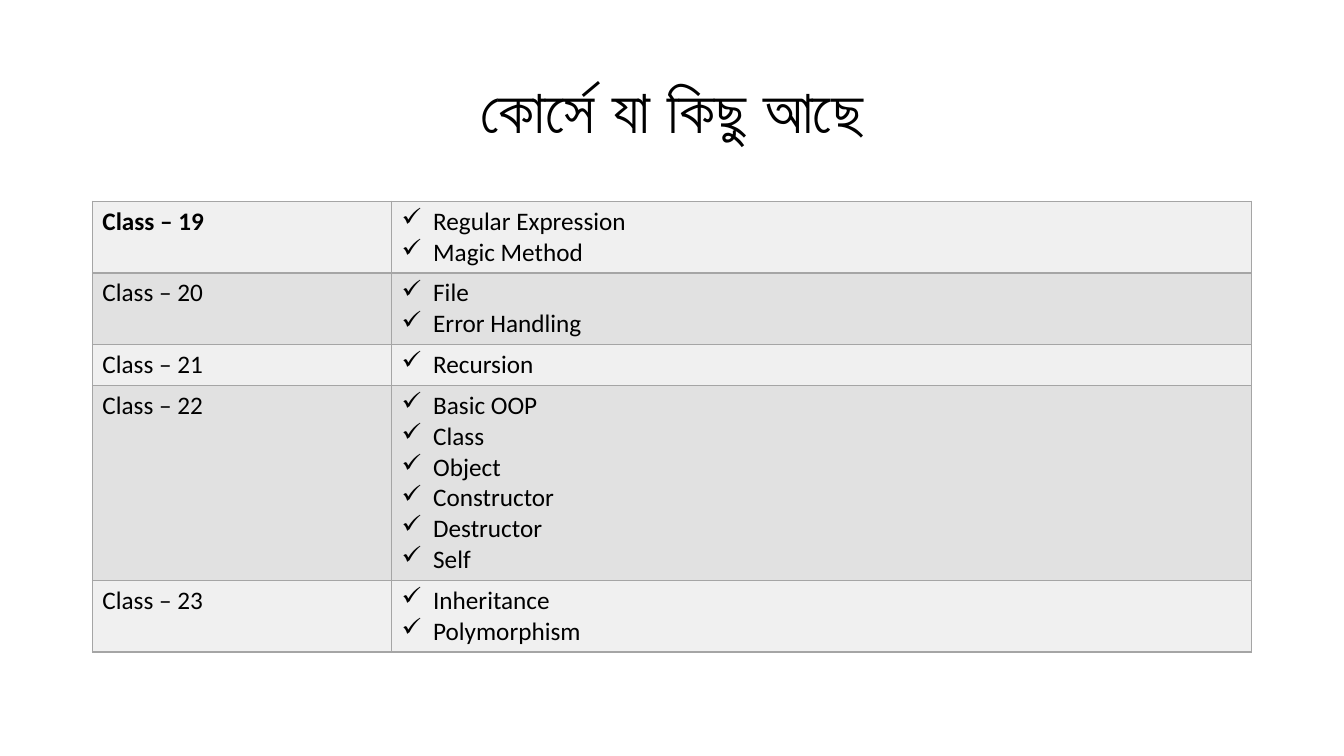
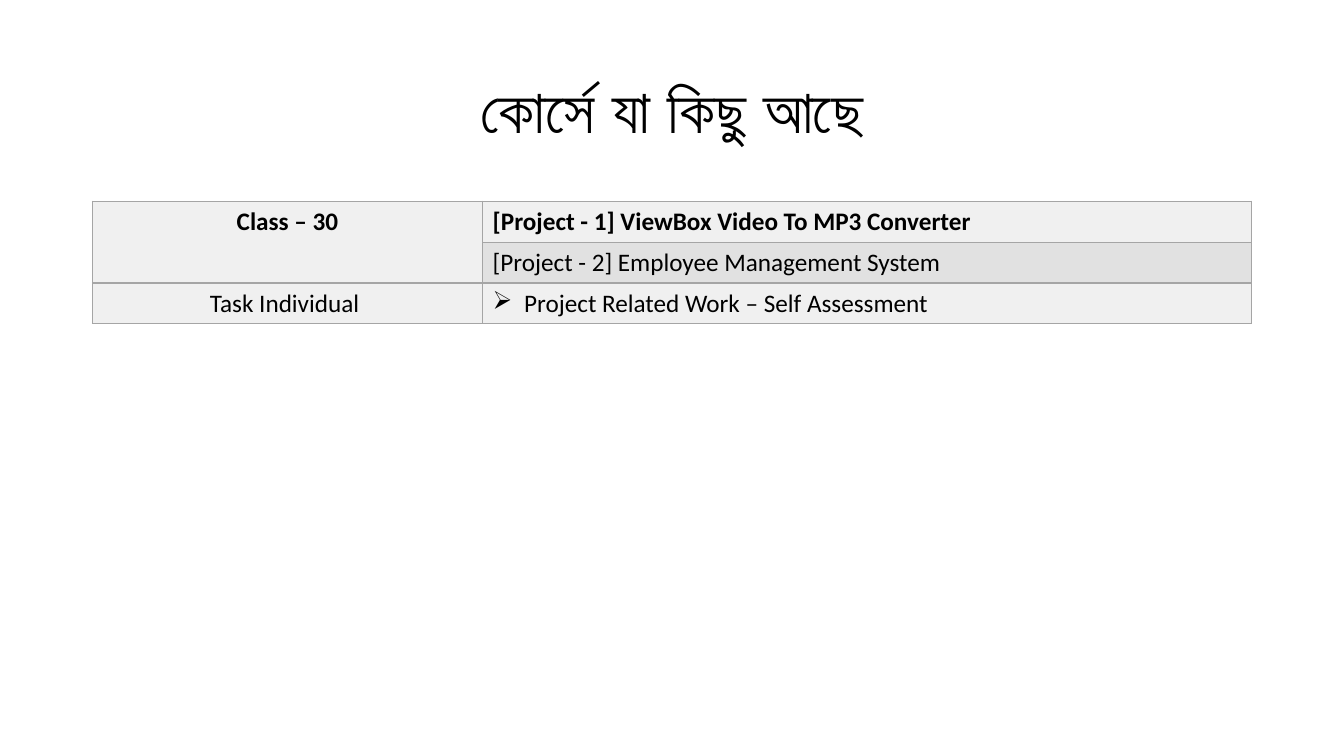
import pptx
import pptx.util
import pptx.dml.color
import pptx.enum.text
import pptx.oxml
import pptx.oxml.ns

Pt = pptx.util.Pt
RGBColor = pptx.dml.color.RGBColor
CENTER = pptx.enum.text.PP_ALIGN.CENTER
LEFT = pptx.enum.text.PP_ALIGN.LEFT

BLACK = RGBColor(0x00, 0x00, 0x00)
LIGHT_BAND = RGBColor(0xF0, 0xF0, 0xF0)
DARK_BAND = RGBColor(0xE1, 0xE1, 0xE1)
GRID = RGBColor(0xA5, 0xA5, 0xA5)

COURSE_TITLE = "কোর্সে যা কিছু আছে"
CHECK, ARROW = "✓", "➢"


def write(frame, text, size=18, bold=False, align=LEFT, bullet=None, spacing=None):
    """Fill a text frame, one paragraph per line of text."""
    frame.word_wrap = True
    for number, line in enumerate(text.split("\n")):
        paragraph = frame.add_paragraph() if number else frame.paragraphs[0]
        paragraph.alignment = align
        if spacing:
            paragraph.line_spacing = spacing
        if bullet:
            properties = paragraph._p.get_or_add_pPr()
            properties.set("marL", str(Pt(22.5)))
            properties.set("indent", str(-Pt(22.5)))
            mark = pptx.oxml.parse_xml(
                f'<a:buChar {pptx.oxml.ns.nsdecls("a")} char="{bullet}"/>')
            properties.append(mark)
        run = paragraph.add_run()
        run.text = line
        run.font.name = "Calibri"
        run.font.size = Pt(size)
        run.font.bold = bold
        run.font.color.rgb = BLACK


class Deck:
    """Shared style and the current slide."""

    left, width = 66, 828
    title_top, title_height = 28.75, 104.4
    table_top = 143.75
    line_height, cell_padding = 22, 7.2

    def __init__(self):
        self.presentation = pptx.Presentation()
        self.presentation.slide_width = Pt(960)
        self.presentation.slide_height = Pt(540)

    def new_slide(self, title):
        layout = self.presentation.slide_layouts[6]
        self.slide = self.presentation.slides.add_slide(layout)
        heading = self.slide.shapes.add_textbox(
            Pt(self.left), Pt(self.title_top), Pt(self.width), Pt(self.title_height))
        heading.text_frame.vertical_anchor = pptx.enum.text.MSO_ANCHOR.MIDDLE
        write(heading.text_frame, title, size=44, bold=True, align=CENTER, spacing=0.9)

    def style_cell(self, cell, fill):
        properties = cell._tc.get_or_add_tcPr()
        for side in ("lnL", "lnR", "lnT", "lnB"):
            properties.append(pptx.oxml.parse_xml(
                f'<a:{side} {pptx.oxml.ns.nsdecls("a")} w="{Pt(1)}"><a:solidFill>'
                f'<a:srgbClr val="{GRID}"/></a:solidFill></a:{side}>'))
        cell.fill.solid()
        cell.fill.fore_color.rgb = fill

    def table(self, rows, first_width):
        """Each row is a pair of (text, format); None continues the cell above."""
        lines = [max(entry[0].count("\n") + 1 for entry in row if entry) for row in rows]
        heights = [self.cell_padding + self.line_height * count for count in lines]
        grid = self.slide.shapes.add_table(
            len(rows), 2, Pt(self.left), Pt(self.table_top),
            Pt(self.width), Pt(sum(heights))).table
        grid.columns[0].width = Pt(first_width)
        grid.columns[1].width = Pt(self.width - first_width)
        for r, row in enumerate(rows):
            grid.rows[r].height = Pt(heights[r])
            for c, entry in enumerate(row):
                cell = grid.cell(r, c)
                self.style_cell(cell, DARK_BAND if r % 2 else LIGHT_BAND)
                if entry:
                    text, style = entry
                    write(cell.text_frame, text, **style)
                else:
                    grid.cell(r - 1, c).merge(cell)


deck = Deck()

# Classes 19 to 23 with their topics
topics = {
    19: "Regular Expression\nMagic Method",
    20: "File\nError Handling",
    21: "Recursion",
    22: "Basic OOP\nClass\nObject\nConstructor\nDestructor\nSelf",
    23: "Inheritance\nPolymorphism",
}
deck.new_slide(COURSE_TITLE)
deck.table([((f"Class – {number}", {"bold": number == 19}), (topic, {"bullet": CHECK}))
            for number, topic in topics.items()], first_width=213.75)

# Class 30 projects and the individual task
deck.new_slide(COURSE_TITLE)
deck.table([
    (("Class – 30", {"bold": True, "align": CENTER}),
     ("[Project - 1] ViewBox Video To MP3 Converter", {"bold": True})),
    (None, ("[Project - 2] Employee Management System ", {})),
    (("Task Individual ", {"align": CENTER}),
     ("Project Related Work – Self Assessment ", {"bullet": ARROW})),
], first_width=278.75)

deck.presentation.save("out.pptx")
